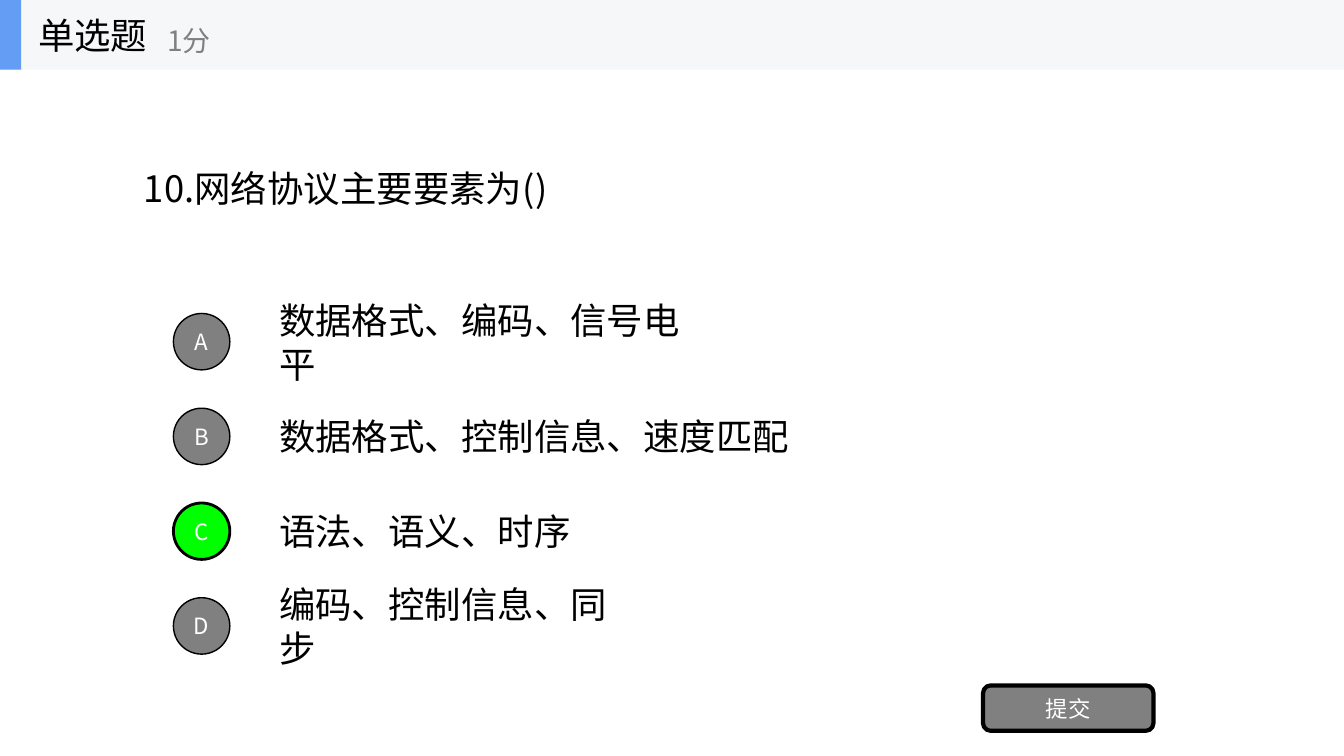
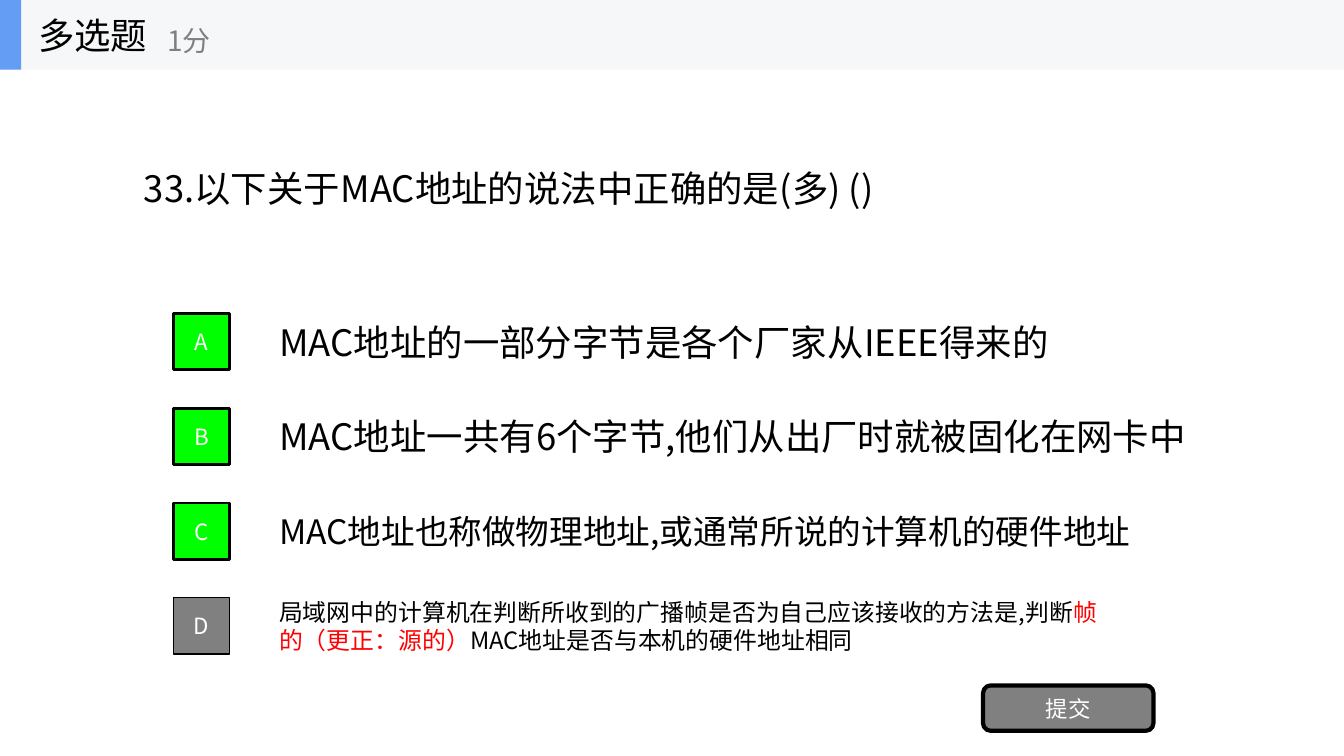
import pptx
import pptx.util
import pptx.dml.color
import pptx.enum.shapes
import pptx.enum.text
import pptx.oxml

Inches = pptx.util.Inches
Pt = pptx.util.Pt
Kind = pptx.enum.shapes.MSO_SHAPE
Align = pptx.enum.text.PP_ALIGN
Fit = pptx.enum.text.MSO_AUTO_SIZE

FONT = "Noto Sans CJK SC"
BLACK, WHITE, GREY = "000000", "FFFFFF", "808080"
GREEN, RED, BLUE, BAND = "00FF00", "FF0000", "639EF4", "F6F7F8"
WIDE, HIGH, TOP = 13.33, 7.5, 0.69
ROW, STEP, BADGE = 3.39, 0.94, 0.56

# Each option: text runs with colour, box width, box height, size, correct or not
SINGLE = [
    ([("数据格式、编码、信号电平", BLACK)], 4.53, 0.53, 26, False),
    ([("数据格式、控制信息、速度匹配", BLACK)], 5.26, 0.53, 26, False),
    ([("语法、语义、时序", BLACK)], 3.09, 0.53, 26, True),
    ([("编码、控制信息、同步", BLACK)], 3.81, 0.53, 26, False),
]
MULTI = [
    ([("MAC地址的一部分字节是各个厂家从IEEE得来的", BLACK)],
     7.88, 0.53, 26, True),
    ([("MAC地址一共有6个字节,他们从出厂时就被固化在网卡中", BLACK)],
     9.29, 0.53, 26, True),
    ([("MAC地址也称做物理地址,或通常所说的计算机的硬件地址", BLACK)],
     8.73, 0.5, 24, True),
    ([("局域网中的计算机在判断所收到的广播帧是否为自己应该接收的方法是,判断", BLACK),
      ("帧的（更正：源的）", RED),
      ("MAC地址是否与本机的硬件地址相同", BLACK)], 8.52, 0.67, 17, False),
]


def color(code):
    return pptx.dml.color.RGBColor.from_string(code)


def write(shape, runs, size, align=Align.LEFT):
    frame = shape.text_frame
    frame.word_wrap = True
    frame.vertical_anchor = pptx.enum.text.MSO_ANCHOR.MIDDLE
    para = frame.paragraphs[0]
    para.alignment = align
    for text, code in runs:
        run = para.add_run()
        run.text = text
        font = run.font
        font.size = Pt(size)
        font.name = FONT
        font.color.rgb = color(code)
        # East Asian glyphs take their own typeface element
        east = pptx.oxml.parse_xml(
            '<a:ea xmlns:a="http://schemas.openxmlformats.org/'
            f'drawingml/2006/main" typeface="{FONT}"/>')
        font._element.find(pptx.oxml.ns.qn("a:latin")).addnext(east)


def label(shapes, box, runs, size, grow=False):
    shape = shapes.add_textbox(*map(Inches, box))
    write(shape, runs, size)
    if grow:
        shape.text_frame.auto_size = Fit.SHAPE_TO_FIT_TEXT


def block(shapes, kind, box, fill, line=0, text=""):
    shape = shapes.add_shape(kind, *map(Inches, box))
    shape.shadow.inherit = False
    shape.fill.solid()
    shape.fill.fore_color.rgb = color(fill)
    if line:
        shape.line.color.rgb = color(BLACK)
        shape.line.width = Pt(line)
    else:
        shape.line.fill.background()
    if text:
        write(shape, [(text, WHITE)], 16, Align.CENTER)


def header(slide, title):
    shapes = slide.shapes.add_group_shape().shapes
    block(shapes, Kind.RECTANGLE, (0, 0, WIDE, TOP), BAND)
    block(shapes, Kind.RECTANGLE, (0, 0, 0.21, TOP), BLUE)
    label(shapes, (0.28, 0, 2.08, TOP), [(title, BLACK)], 26)
    label(shapes, (1.56, 0.12, 2.5, 0.56), [("1分", GREY)], 20)


def choice(shapes, index, kind, option):
    runs, width, height, size, right = option
    mid = ROW + index * STEP
    label(shapes, (2.67, mid - height / 2, width, height), runs, size, True)
    block(shapes, kind, (1.72, mid - BADGE / 2, BADGE, BADGE),
          GREEN if right else GREY, 2 if right else 1, "ABCD"[index])


def quiz(deck, title, ask, width, kind, options):
    slide = deck.slides.add_slide(deck.slide_layouts[6])
    shapes = slide.shapes
    label(shapes, (1.33, 1.6, width, 0.53), [(ask, BLACK)], 26, True)
    for index, option in enumerate(options):
        choice(shapes, index, kind, option)
    block(shapes, Kind.ROUNDED_RECTANGLE, (9.75, 6.8, 1.69, 0.45),
          GREY, 3, "提交")
    header(slide, title)


def main():
    deck = pptx.Presentation()
    deck.slide_width = Inches(WIDE)
    deck.slide_height = Inches(HIGH)
    quiz(deck, "单选题", "10.网络协议主要要素为()", 4.2, Kind.OVAL, SINGLE)
    quiz(deck, "多选题", "33.以下关于MAC地址的说法中正确的是(多) ()", 7.56,
         Kind.RECTANGLE, MULTI)
    deck.save("out.pptx")


if __name__ == "__main__":
    main()
